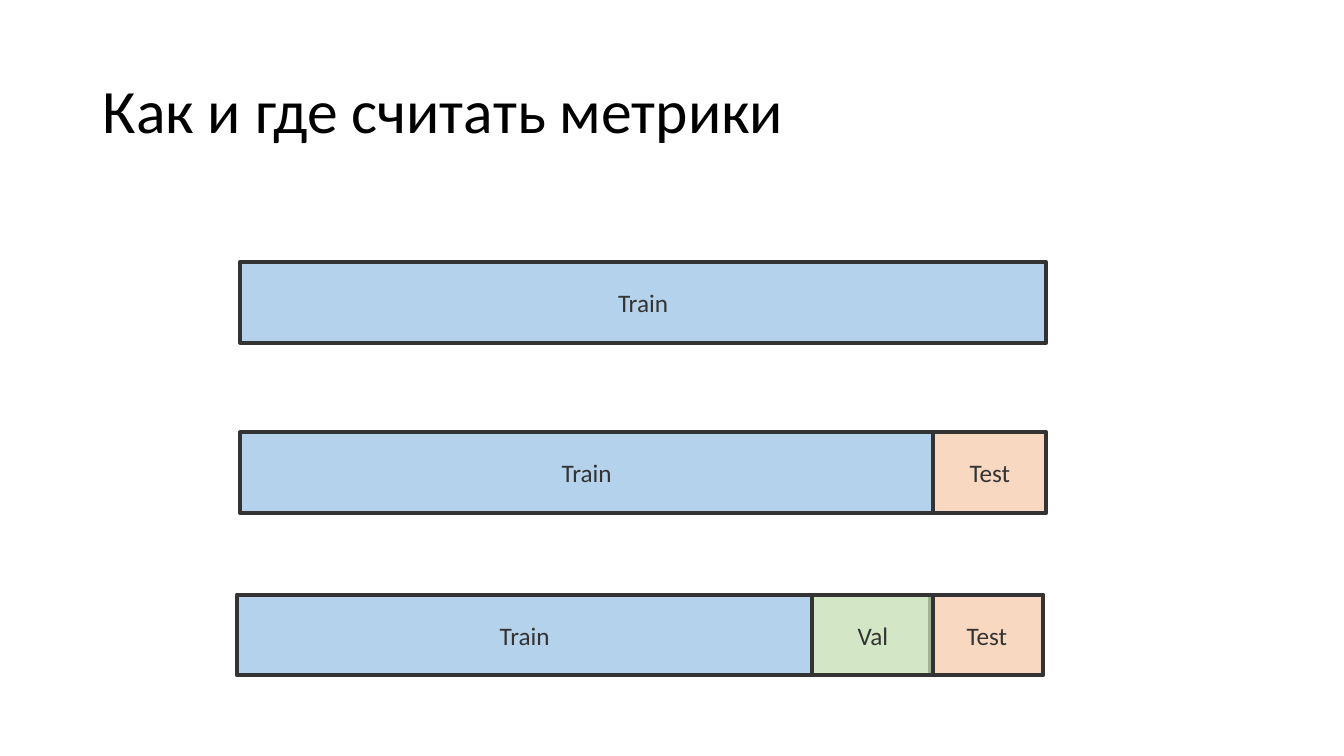
from dataclasses import dataclass

import pptx
import pptx.dml.color
import pptx.enum.shapes
import pptx.enum.text
import pptx.oxml
import pptx.oxml.ns
import pptx.slide
import pptx.text.text
import pptx.util

COLORS = {
    "title": "000000",
    "ink": "333333",
    "Train": "9DC3E6",
    "Val": "C5E0B4",
    "Test": "F8CBAD",
}
FONT = "Calibri"
OPACITY = 75
CELL = pptx.util.Inches(0.1)  # side of one grid column and row
PAGE_COLUMNS, PAGE_ROWS = 133.33, 75
BAR_ROWS = 8


@dataclass
class Segment:
    name: str
    column: float
    columns: float


@dataclass
class Split:
    row: float
    segments: list[Segment]


SPLITS = [
    Split(26, [Segment("Train", 23.8, 80)]),
    Split(42.9, [Segment("Train", 23.8, 68.8), Segment("Test", 92.6, 11.2)]),
    Split(59, [Segment("Train", 23.5, 57.1), Segment("Test", 92.3, 11.2),
               Segment("Val", 80.6, 12)]),
]


def cells(count: float) -> pptx.util.Emu:
    return pptx.util.Emu(round(count * CELL))


def rgb(name: str) -> pptx.dml.color.RGBColor:
    return pptx.dml.color.RGBColor.from_string(COLORS[name])


def set_font(para: pptx.text.text._Paragraph, size: int, color: str) -> None:
    para.font.name = FONT
    para.font.size = pptx.util.Pt(size)
    para.font.color.rgb = rgb(color)


def add_title(page: pptx.slide.Slide, text: str) -> None:
    title = page.shapes.title
    title.left, title.top = cells(9.2), cells(4)
    title.width, title.height = cells(115), cells(14.5)
    title.text_frame.text = text
    title.text_frame.vertical_anchor = pptx.enum.text.MSO_ANCHOR.MIDDLE
    para = title.text_frame.paragraphs[0]
    para.alignment = pptx.enum.text.PP_ALIGN.LEFT
    para.line_spacing = 0.9
    set_font(para, 44, "title")


def add_segment(page: pptx.slide.Slide, segment: Segment, row: float) -> None:
    box = page.shapes.add_shape(
        pptx.enum.shapes.MSO_SHAPE.RECTANGLE,
        cells(segment.column), cells(row),
        cells(segment.columns), cells(BAR_ROWS))
    box.shadow.inherit = False
    box.fill.solid()
    box.fill.fore_color.rgb = rgb(segment.name)
    fill_color = box.element.spPr.find(".//" + pptx.oxml.ns.qn("a:srgbClr"))
    alpha = pptx.oxml.parse_xml(
        f'<a:alpha {pptx.oxml.ns.nsdecls("a")} val="{OPACITY * 1000}"/>')
    fill_color.append(alpha)
    box.line.color.rgb = rgb("ink")
    box.line.width = pptx.util.Pt(2.83)
    box.text_frame.text = segment.name
    box.text_frame.vertical_anchor = pptx.enum.text.MSO_ANCHOR.MIDDLE
    para = box.text_frame.paragraphs[0]
    para.alignment = pptx.enum.text.PP_ALIGN.CENTER
    set_font(para, 18, "ink")


def main() -> None:
    deck = pptx.Presentation()
    deck.slide_width, deck.slide_height = cells(PAGE_COLUMNS), cells(PAGE_ROWS)
    page = deck.slides.add_slide(deck.slide_layouts.get_by_name("Title Only"))
    add_title(page, "Как и где считать метрики")
    for split in SPLITS:
        for segment in split.segments:
            add_segment(page, segment, split.row)
    deck.save("out.pptx")


if __name__ == "__main__":
    main()
